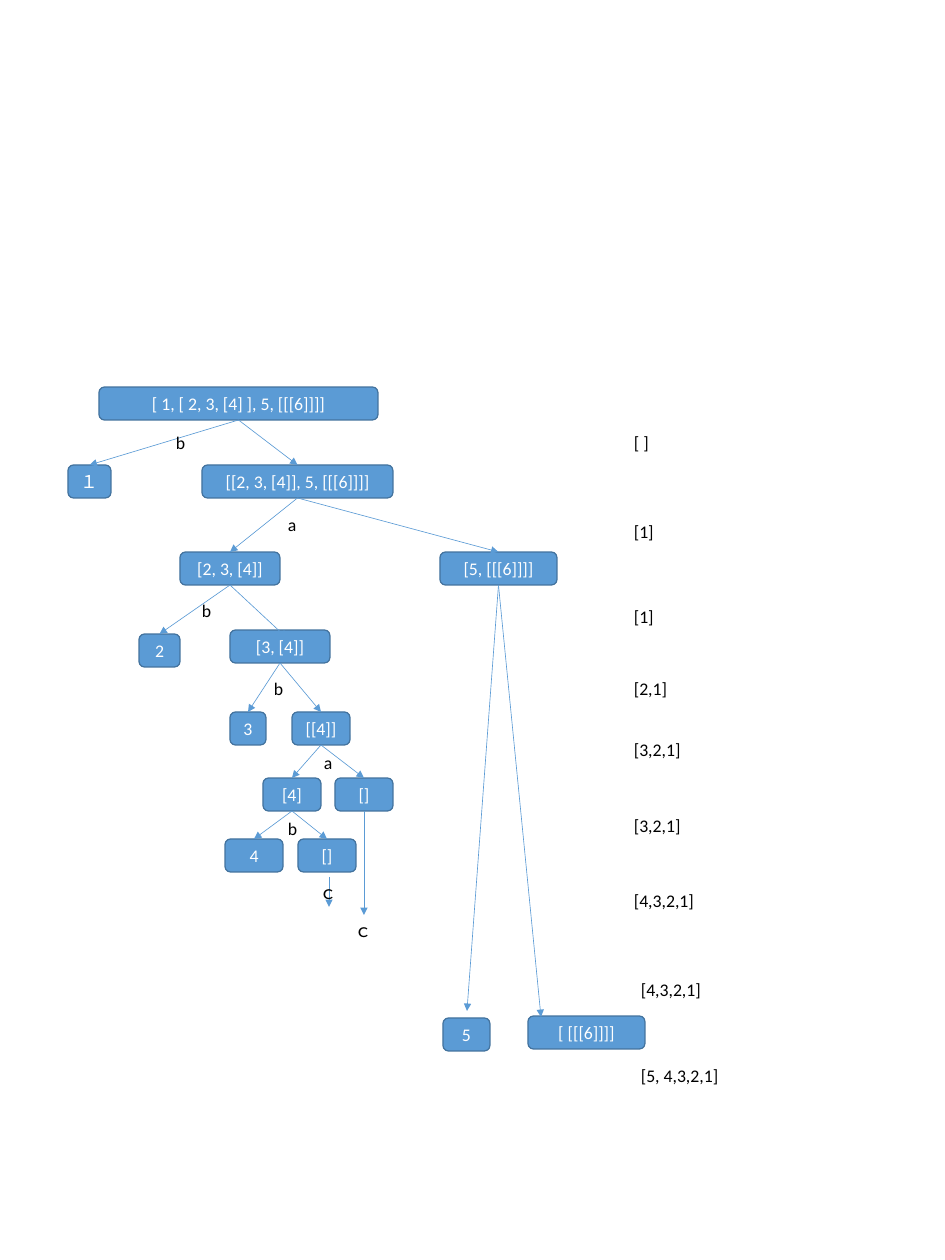
import pptx
import pptx.util
import pptx.dml.color
import pptx.enum.shapes
import pptx.enum.text
import pptx.oxml.ns
import lxml.etree

# Content: nodes as key -> (text, left, top, width)
NODES = {
    "root": ("[ 1, [ 2, 3, [4] ], 5, [[[6]]]]".replace(" ", "\u00a0"), 99, 387, 279),
    "first": ("\uff11", 68, 465, 43),
    "rest": ("[[2, 3, [4]], 5, [[[6]]]]", 202, 465, 191),
    "left list": ("[2, 3, [4]]", 180, 552, 100),
    "right list": ("[5, [[[6]]]]", 440, 552, 117),
    "two": ("2", 139, 634, 41),
    "three list": ("[3, [4]]", 230, 630, 100),
    "three": ("3", 230, 712, 36),
    "nested four": ("[[4]]", 292, 712, 58),
    "four list": ("[4]", 263, 778, 58),
    "outer empty": ("[]", 335, 778, 58),
    "four": ("4", 225, 839, 58),
    "inner empty": ("[]", 298, 839, 58),
    "five": ("5", 443, 1018, 47),
    "six list": ("[ [[[6]]]]", 528, 1016, 117),
}
# Parent and either a child or the point where the arrow ends
EDGES = [
    ("root", "first"), ("root", "rest"),
    ("rest", "left list"), ("rest", "right list"),
    ("left list", "two"), ("left list", (287, 638)),
    ("three list", "three"), ("three list", "nested four"),
    ("nested four", "four list"), ("nested four", "outer empty"),
    ("four list", "four"), ("four list", "inner empty"),
    ("outer empty", (364, 915)),
    ("right list", (467, 1011)), ("right list", (541, 1017)),
]
LOOSE_ARROW = ((329, 877), (329, 907))
# Step labels: text, left, top, width
STEPS = [
    ("b", 167, 427, 29), ("a", 279, 509, 28), ("b", 193, 595, 29),
    ("b", 265, 673, 29), ("a", 315, 747, 28), ("b", 279, 813, 29),
    ("\uff43", 311, 877, 36), ("\uff43", 346, 915, 36),
]
# Result after each step: text, left, top, width, height
RESULTS = [
    ("[ ]", 625, 427, 40, 31), ("[1]", 625, 516, 40, 52),
    ("[1]", 625, 601, 40, 52), ("[2,1]", 625, 673, 78, 31),
    ("[3,2,1]", 625, 734, 78, 31), ("[3,2,1]", 625, 810, 78, 31),
    ("[4,3,2,1]", 625, 885, 104, 31), ("[4,3,2,1]", 632, 974, 104, 31),
    ("[5, 4,3,2,1]", 632, 1060, 104, 31),
]
NODE_HEIGHT, STEP_HEIGHT = 33, 31
THEME = {"fill": "5B9BD5", "border": "43739E", "on_fill": "FFFFFF", "ink": "000000",
         "font": "Calibri", "size": 14.2, "border_width": 1, "arrow_width": 0.5}
BOTTOM, TOP = 2, 0  # connection sites


def px(n):
    return pptx.util.Emu(n * 10160)


def color(name):
    return pptx.dml.color.RGBColor.from_string(THEME[name])


NODE_FRAME = {"margin_left": px(7), "margin_right": px(7),
              "margin_top": px(4), "margin_bottom": px(4), "word_wrap": True,
              "vertical_anchor": pptx.enum.text.MSO_ANCHOR.MIDDLE}
LABEL_FRAME = {"auto_size": pptx.enum.text.MSO_AUTO_SIZE.SHAPE_TO_FIT_TEXT}


def write(shape, text, ink, align, frame_format):
    frame = shape.text_frame
    for key, value in frame_format.items():
        setattr(frame, key, value)
    paragraph = frame.paragraphs[0]
    paragraph.alignment = align
    run = paragraph.add_run()
    run.text = text
    for key, value in {"name": THEME["font"],
                       "size": pptx.util.Pt(THEME["size"])}.items():
        setattr(run.font, key, value)
    run.font.color.rgb = color(ink)


def add_node(text, left, top, width):
    node = slide.shapes.add_shape(pptx.enum.shapes.MSO_SHAPE.ROUNDED_RECTANGLE,
                                  px(left), px(top), px(width), px(NODE_HEIGHT))
    node.shadow.inherit = False
    node.fill.solid()
    node.fill.fore_color.rgb = color("fill")
    node.line.color.rgb = color("border")
    node.line.width = pptx.util.Pt(THEME["border_width"])
    write(node, text, "on_fill", pptx.enum.text.PP_ALIGN.CENTER, NODE_FRAME)
    return node


def add_label(text, left, top, width, height, wrap):
    label = slide.shapes.add_textbox(px(left), px(top), px(width), px(height))
    write(label, text, "ink", pptx.enum.text.PP_ALIGN.LEFT,
          {**LABEL_FRAME, "word_wrap": wrap})


def add_arrow(start, end):
    arrow = slide.shapes.add_connector(pptx.enum.shapes.MSO_CONNECTOR.STRAIGHT,
                                       *map(px, start + end))
    arrow.line.color.rgb = color("fill")
    arrow.line.width = pptx.util.Pt(THEME["arrow_width"])
    qn = pptx.oxml.ns.qn
    properties = arrow.line._get_or_add_ln()
    lxml.etree.SubElement(properties, qn("a:tailEnd"), type="triangle")
    lxml.etree.SubElement(properties.getparent(), qn("a:effectLst"))
    return arrow


presentation = pptx.Presentation()
presentation.slide_width, presentation.slide_height = px(945), px(1260)
slide = presentation.slides.add_slide(presentation.slide_layouts[6])

# Tree nodes
nodes = {key: add_node(*node) for key, node in NODES.items()}

# Arrows glued to the nodes they join
for parent, target in EDGES:
    is_node = target in nodes
    arrow = add_arrow((0, 0), (0, 0) if is_node else target)
    arrow.begin_connect(nodes[parent], BOTTOM)
    if is_node:
        arrow.end_connect(nodes[target], TOP)
add_arrow(*LOOSE_ARROW)

# Step labels and results
for step in STEPS:
    add_label(*step, STEP_HEIGHT, False)
for result in RESULTS:
    add_label(*result, True)

presentation.save("out.pptx")
